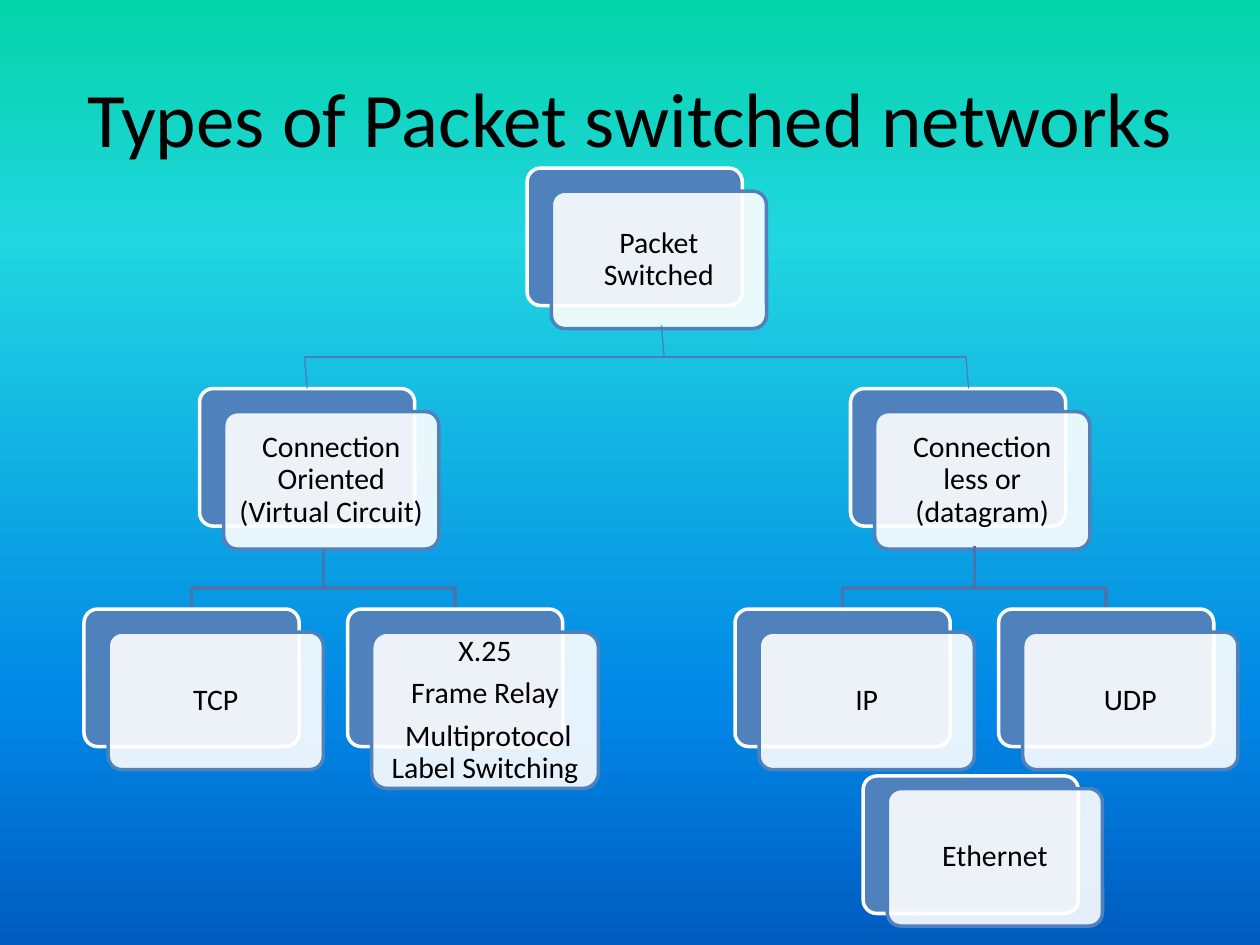
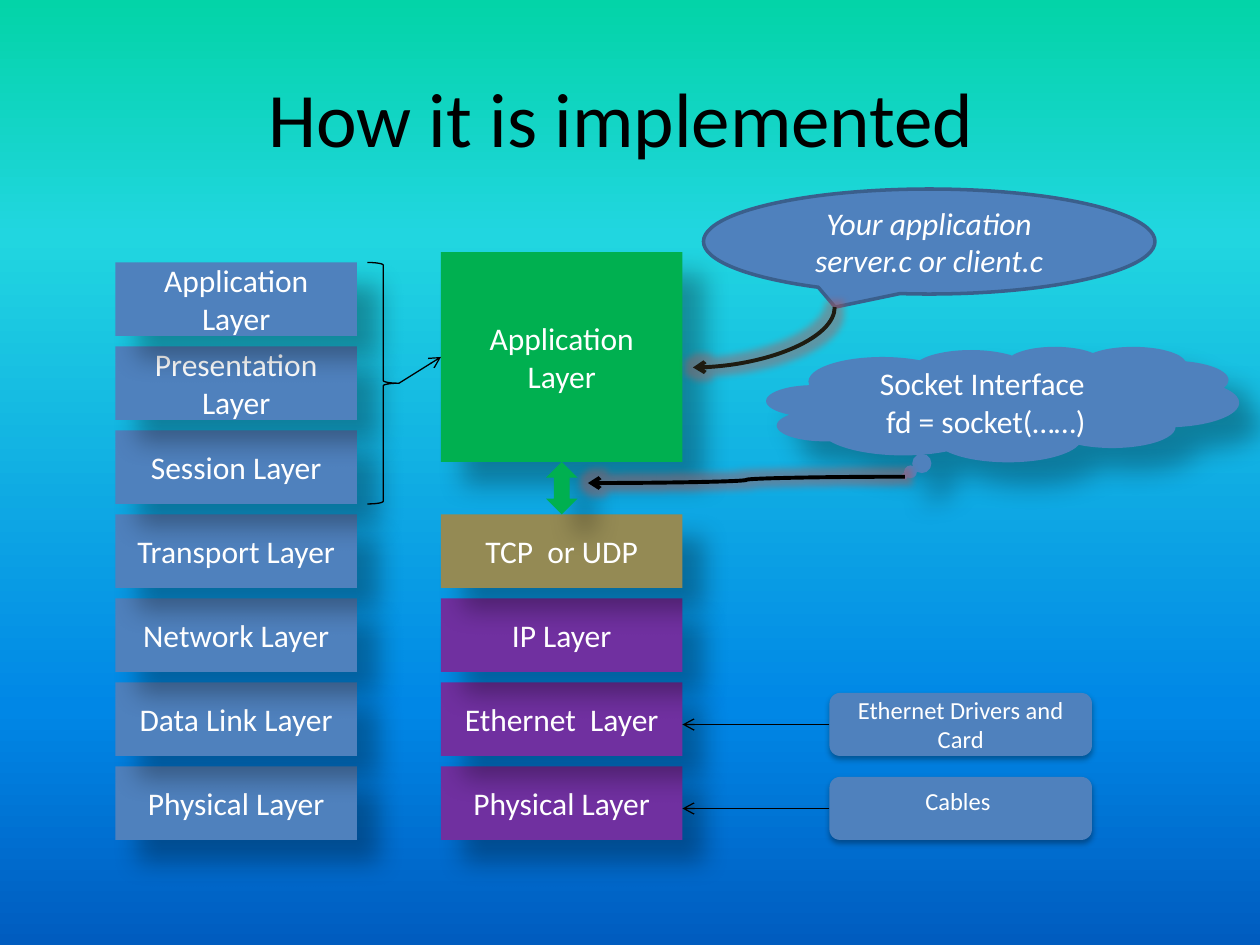
from dataclasses import dataclass, field
from typing import Any, Optional

from lxml.etree import SubElement
from pptx import Presentation
from pptx.dml.color import RGBColor
from pptx.enum.shapes import MSO_CONNECTOR, MSO_SHAPE
from pptx.enum.text import MSO_ANCHOR, PP_ALIGN
from pptx.oxml.ns import qn
from pptx.util import Inches, Pt

# The grid: 120 columns by 90 rows, each cell a twelfth of an inch
COLUMNS, ROWS, CELLS_PER_INCH = 120, 90, 12


def cells(count: float) -> int:
    return Inches(count / CELLS_PER_INCH)


# Colours, type sizes and effects
@dataclass(frozen=True)
class Theme:
    font: str = "Calibri"
    title_size: int = 44
    body_size: int = 18
    card_size: int = 17
    note_size: int = 14
    black: str = "000000"
    white: str = "FFFFFF"
    blue: str = "4F81BD"
    dark_blue: str = "3A5F8C"
    branch: str = "4875AC"
    link: str = "4B7EBC"
    green: str = "00B050"
    olive: str = "948A54"
    purple: str = "7030A0"
    umber: str = "1E1C11"
    glow: str = "C0504D"
    backdrop: tuple = ((0, "03D4A8"), (25, "21D6E0"), (75, "0087E6"), (100, "005CBF"))


THEME = Theme()


@dataclass(frozen=True)
class Shadow:
    opacity: int
    blur: float
    distance: float
    angle: int


DEEP = Shadow(30, 15, 18, 45)
SOFT = Shadow(32, 3.5, 2.2, 90)


@dataclass(frozen=True)
class Block:
    """A preset shape placed on the grid, with its text and look."""
    left: float
    top: float
    width: float
    height: float
    lines: tuple = ()
    fill: Optional[str] = THEME.blue
    kind: Any = MSO_SHAPE.RECTANGLE
    outline: Optional[str] = None
    weight: float = 2
    shadow: Optional[Shadow] = None
    corner: Optional[float] = None
    opacity: int = 100
    size: int = THEME.body_size
    colour: str = THEME.white
    frame: dict = field(default_factory=dict)
    para: dict = field(default_factory=dict)
    font: dict = field(default_factory=dict)


@dataclass(frozen=True)
class Card:
    """A white card over an offset blue one."""
    left: float
    top: float
    lines: tuple
    width: float = 20.5
    height: float = 13.1
    drop: float = 2.2


@dataclass(frozen=True)
class Link:
    start: tuple
    end: tuple
    colour: str = THEME.black
    weight: float = 0.75
    kind: Any = MSO_CONNECTOR.STRAIGHT
    preset: Optional[str] = None
    arrow: Optional[str] = "tailEnd"
    glow: bool = False


def set_all(target: Any, formats: dict) -> None:
    for name, value in formats.items():
        setattr(target, name, value)


def add_colour(parent: Any, colour: str, opacity: int = 100) -> None:
    node = SubElement(parent, qn("a:srgbClr"), val=colour)
    if opacity < 100:
        SubElement(node, qn("a:alpha"), val=str(opacity * 1000))


def write(frame: Any, lines: tuple, size: int, colour: str,
          frame_format: dict, para_format: dict, font_format: dict) -> None:
    set_all(frame, {"word_wrap": True, "vertical_anchor": MSO_ANCHOR.MIDDLE, **frame_format})
    for index, line in enumerate(lines):
        para = frame.add_paragraph() if index else frame.paragraphs[0]
        set_all(para, {"alignment": PP_ALIGN.CENTER, **para_format})
        span = para.add_run()
        span.text = line
        set_all(span.font, {"name": THEME.font, "size": Pt(size), **font_format})
        span.font.color.rgb = RGBColor.from_string(colour)


def style_line(line: Any, colour: Optional[str], weight: float) -> None:
    if colour is None:
        line.fill.background()
        return
    line.color.rgb = RGBColor.from_string(colour)
    line.width = Pt(weight)


def draw_block(page: Any, block: Block) -> Any:
    box = page.shapes.add_shape(block.kind, cells(block.left), cells(block.top),
                                cells(block.width), cells(block.height))
    box.shadow.inherit = False
    if block.corner is not None:
        box.adjustments[0] = block.corner
    if block.fill is None:
        box.fill.background()
    else:
        box.fill.solid()
        box.fill.fore_color.rgb = RGBColor.from_string(block.fill)
        if block.opacity < 100:
            tint = box.element.spPr.find(qn("a:solidFill"))[0]
            SubElement(tint, qn("a:alpha"), val=str(block.opacity * 1000))
    style_line(box.line, block.outline, block.weight)
    if block.shadow:
        effects = box.element.spPr.find(qn("a:effectLst"))
        cast = SubElement(effects, qn("a:outerShdw"), blurRad=str(Pt(block.shadow.blur)),
                          dist=str(Pt(block.shadow.distance)),
                          dir=str(block.shadow.angle * 60000), algn="ctr", rotWithShape="0")
        add_colour(cast, THEME.black, block.shadow.opacity)
    write(box.text_frame, block.lines, block.size, block.colour,
          block.frame, block.para, block.font)
    return box


def draw_link(page: Any, link: Link) -> Any:
    connector = page.shapes.add_connector(link.kind, *map(cells, link.start + link.end))
    style_line(connector.line, link.colour, link.weight)
    properties = connector.element.spPr
    if link.preset:
        properties.find(qn("a:prstGeom")).set("prst", link.preset)
    if link.arrow:
        SubElement(properties.find(qn("a:ln")), qn(f"a:{link.arrow}"), type="arrow")
    effects = SubElement(properties, qn("a:effectLst"))
    if link.glow:
        add_colour(SubElement(effects, qn("a:glow"), rad=str(Pt(8))), THEME.glow, 40)
    return connector


def draw_card(page: Any, card: Card) -> Any:
    rounded = {"kind": MSO_SHAPE.ROUNDED_RECTANGLE, "corner": 0.1}
    back = draw_block(page, Block(card.left, card.top, Card.width, Card.height,
                                  outline=THEME.white, **rounded))
    margins = {f"margin_{side}": Inches(0.07) for side in ("left", "right", "top", "bottom")}
    draw_block(page, Block(card.left + 2.3, card.top + card.drop, card.width, card.height,
                           card.lines, THEME.white, outline=THEME.blue, opacity=90,
                           size=THEME.card_size, colour=THEME.black, frame=margins,
                           para={"line_spacing": 0.9, "space_after": Pt(6)}, **rounded))
    return back


def draw_branch(page: Any, children: tuple) -> None:
    """Draw bent lines from midway between two cards down to each of them."""
    centres = [child.left + Card.width / 2 for child in children]
    stem, foot = sum(centres) / 2, children[0].top
    for centre in centres:
        outline = page.shapes.build_freeform(cells(stem), cells(foot - 6))
        outline.add_line_segments([(cells(x), cells(y)) for x, y in (
            (stem, foot - 2), (centre, foot - 2), (centre, foot))], close=False)
        bend = outline.convert_to_shape()
        bend.shadow.inherit = False
        bend.fill.background()
        style_line(bend.line, THEME.branch, 2)


def paint_backdrop(deck: Any) -> None:
    fill = deck.slide_master.background.fill
    fill.gradient()
    fill.gradient_angle = 270
    stops = deck.slide_master.element.find(f".//{qn('p:bg')}//{qn('a:gsLst')}")
    for stop in list(stops):
        stops.remove(stop)
    for position, colour in THEME.backdrop:
        add_colour(SubElement(stops, qn("a:gs"), pos=str(position * 1000)), colour)


def add_page(deck: Any, title: str) -> Any:
    page = deck.slides.add_slide(deck.slide_layouts.get_by_name("Title Only"))
    box = page.shapes.title
    set_all(box, {"left": cells(6), "top": cells(3.6), "width": cells(108), "height": cells(15)})
    write(box.text_frame, (title,), THEME.title_size, THEME.black, {}, {}, {})
    return page


def build_types_page(deck: Any) -> None:
    page = add_page(deck, "Types of Packet switched networks")
    top, middle, bottom = (16 + 21 * level for level in range(3))
    root = Card(50.2, top, ("Packet Switched",))
    oriented = Card(19, middle, ("Connection Oriented (Virtual Circuit)",))
    connectionless = Card(81, middle, ("Connection less or (datagram)",))
    oriented_kinds = (
        Card(8, bottom, ("TCP",)),
        Card(33.1, bottom, ("X.25", "Frame Relay", " Multiprotocol Label Switching"), 21.6, 14.9))
    connectionless_kinds = (Card(70, bottom, ("IP",)), Card(95.1, bottom, ("UDP",)))
    ethernet = Card(82.2, 73.9, ("Ethernet",), drop=1.2)

    # Cards, with the bent lines of each pair
    draw_branch(page, oriented_kinds)
    draw_card(page, root)
    oriented_back = draw_card(page, oriented)
    for card in (*oriented_kinds, connectionless):
        draw_card(page, card)
    draw_branch(page, connectionless_kinds)
    for card in (*connectionless_kinds, ethernet):
        draw_card(page, card)

    # Thin lines from the root to the second level
    thin = {"colour": THEME.link, "arrow": None}
    draw_link(page, Link((29, 34), (92, 34), **thin))
    drop = draw_link(page, Link((29.25, 37), (29, 34), **thin))
    drop.begin_connect(oriented_back, 0)
    draw_link(page, Link((92.25, 37), (92, 34), **thin))
    draw_link(page, Link((63.25, 34), (63, 31), **thin))


def build_layers_page(deck: Any) -> None:
    page = add_page(deck, "How it is implemented ")
    model_left, stack_left, first_row, pitch = 11, 42, 25, 8
    layer_size = (23, 7)

    # Seven-layer model and protocol stack, lowest layer first
    model = ("Application", "Presentation", "Session", "Transport",
             "Network", "Data Link", "Physical")
    for row, name in reversed(list(enumerate(model))):
        draw_block(page, Block(model_left, first_row + row * pitch, *layer_size,
                               (f"{name} Layer",), shadow=DEEP))
    application = draw_block(page, Block(stack_left, 24, 23, 20, ("Application Layer",),
                                         THEME.green, shadow=DEEP))
    stack = ((6, "Physical Layer", THEME.purple), (5, "Ethernet  Layer", THEME.purple),
             (4, "IP Layer", THEME.purple), (3, "TCP  or UDP", THEME.olive))
    for row, name, fill in stack:
        draw_block(page, Block(stack_left, first_row + row * pitch, *layer_size,
                               (name,), fill, shadow=DEEP))
    draw_block(page, Block(52, 44, 3, 5, fill=THEME.green,
                           kind=MSO_SHAPE.UP_DOWN_ARROW, shadow=DEEP))

    # Callouts and their curved arrows
    curve = {"kind": MSO_CONNECTOR.CURVE, "weight": 2.25, "glow": True}
    draw_block(page, Block(67, 18, 43, 10, ("Your application server.c or client.c",),
                           kind=MSO_SHAPE.OVAL_CALLOUT, outline=THEME.dark_blue,
                           font={"italic": True}))
    draw_link(page, Link((66, 35), (79.5, 29.25), THEME.umber,
                         preset="curvedConnector2", arrow="headEnd", **curve))
    draw_block(page, Block(73, 33, 45, 11, ("Socket Interface ", "fd = socket(……)"),
                           kind=MSO_SHAPE.CLOUD_CALLOUT, shadow=DEEP))
    draw_link(page, Link((86.2, 45.4), (56, 46), **curve))

    # Hardware notes pointing at the lowest two layers
    notes = ((66, "Ethernet Drivers and Card", MSO_ANCHOR.MIDDLE),
             (74, "Cables ", MSO_ANCHOR.TOP))
    for row, text, anchor in notes:
        note = draw_block(page, Block(79, row, 25, 6, (text,), shadow=SOFT,
                                      kind=MSO_SHAPE.ROUNDED_RECTANGLE, size=THEME.note_size,
                                      frame={"vertical_anchor": anchor}))
        arrow = draw_link(page, Link((79, row + 3), (65, row + 3)))
        arrow.begin_connect(note, 1)

    # Brace joining the top three layers to the application
    draw_block(page, Block(35, first_row, 3, 23, fill=None, kind=MSO_SHAPE.RIGHT_BRACE,
                           outline=THEME.black, weight=0.75))
    merge = draw_link(page, Link((38, 36.5), (42, 34)))
    merge.end_connect(application, 1)


def main() -> None:
    deck = Presentation()
    set_all(deck, {"slide_width": cells(COLUMNS), "slide_height": cells(ROWS)})
    paint_backdrop(deck)
    build_types_page(deck)
    build_layers_page(deck)
    deck.save("out.pptx")


if __name__ == "__main__":
    main()
